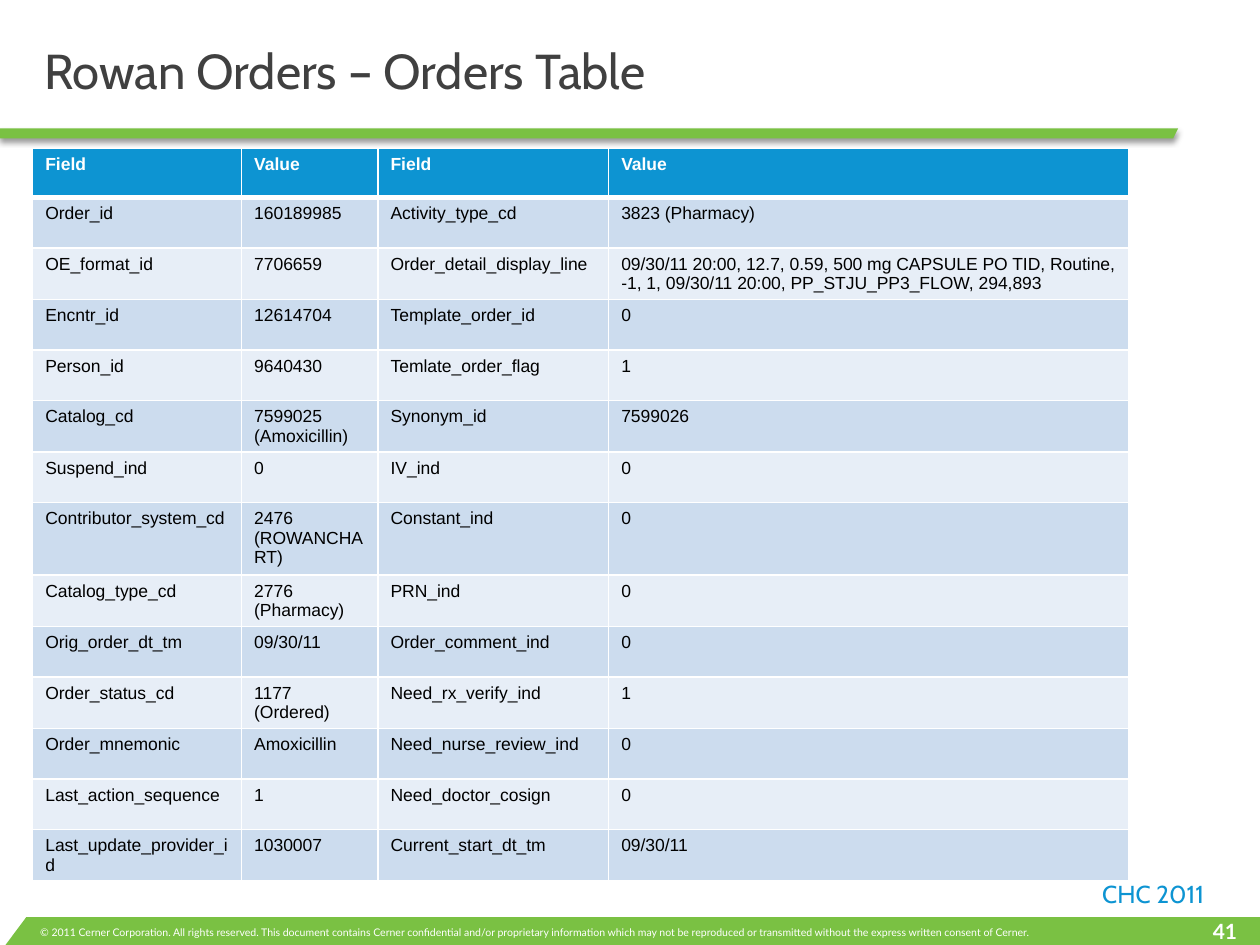
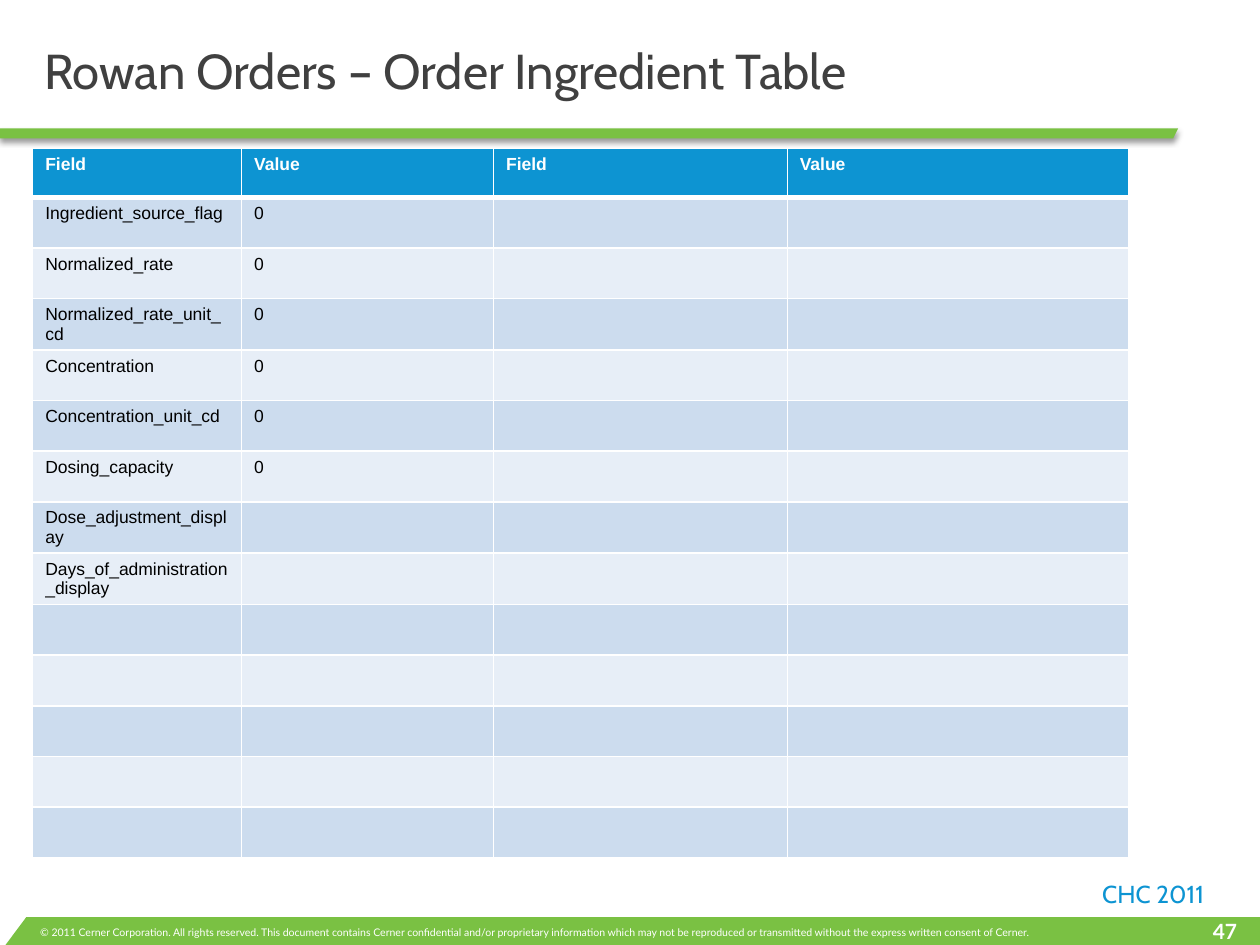
from dataclasses import dataclass

from lxml import etree
from pptx import Presentation
from pptx.dml.color import RGBColor
from pptx.enum.text import MSO_ANCHOR, PP_ALIGN
from pptx.oxml import parse_xml
from pptx.oxml.ns import nsdecls, qn
from pptx.util import Cm, Pt

LEFT, RIGHT = PP_ALIGN.LEFT, PP_ALIGN.RIGHT
TOP, MIDDLE = MSO_ANCHOR.TOP, MSO_ANCHOR.MIDDLE


@dataclass(frozen=True)
class Theme:
    green: str = "7AC143"
    blue: str = "0D94D2"
    title_gray: str = "404040"
    white: str = "FFFFFF"
    black: str = "000000"
    band_dark: str = "CCDCEE"
    band_light: str = "E7EEF7"
    title_font: str = "Cabin"
    footer_font: str = "Lato"
    table_font: str = "Arial"
    title_size: int = 28
    event_size: int = 14
    number_size: int = 12
    table_size: int = 10
    legal_size: int = 6


theme = Theme()


def write(frame, text, font_name, size, color, bold=False, align=LEFT):
    frame.text = text
    para = frame.paragraphs[0]
    para.alignment = align
    for span in para.runs:
        span.font.name = font_name
        span.font.size = Pt(size)
        span.font.bold = bold
        span.font.color.rgb = RGBColor.from_string(color)


def draw_band(page, corners):
    points = [(Cm(x), Cm(y)) for x, y in corners]
    builder = page.shapes.build_freeform(*points[0])
    builder.add_line_segments(points[1:], close=True)
    band = builder.convert_to_shape()
    band.shadow.inherit = False
    band.fill.solid()
    band.fill.fore_color.rgb = RGBColor.from_string(theme.green)
    band.line.fill.background()
    return band


LEGAL = (
    "© 2011 Cerner Corporation. All rights reserved. This document contains Cerner "
    "confidential and/or proprietary information which may not be reproduced or "
    "transmitted without the express written consent of Cerner."
)
FOOTER_BAND = [(25.58, 18.49), (0.53, 18.49), (0, 19.2), (25.58, 19.2)]
TITLE_BAND = [(0, 2.59), (23.75, 2.59), (23.65, 2.79), (0, 2.79)]
HEADER = ("Field", "Value", "Field", "Value")
ROW_COUNT = 14
HEADER_HEIGHT = 0.99
ROW_HEIGHT = 1.02
TABLE_HEIGHT = HEADER_HEIGHT + (ROW_COUNT - 1) * ROW_HEIGHT

order_rows = [
    ("Order_id", "160189985", "Activity_type_cd", "3823 (Pharmacy)"),
    ("OE_format_id", "7706659", "Order_detail_display_line",
     "09/30/11 20:00, 12.7, 0.59, 500 mg CAPSULE PO TID, Routine, -1, 1, "
     "09/30/11 20:00, PP_STJU_PP3_FLOW, 294,893"),
    ("Encntr_id", "12614704", "Template_order_id", "0"),
    ("Person_id", "9640430", "Temlate_order_flag", "1"),
    ("Catalog_cd", "7599025 (Amoxicillin)", "Synonym_id", "7599026"),
    ("Suspend_ind", "0", "IV_ind", "0"),
    ("Contributor_system_cd", "2476 (ROWANCHART)", "Constant_ind", "0"),
    ("Catalog_type_cd", "2776 (Pharmacy)", "PRN_ind", "0"),
    ("Orig_order_dt_tm", "09/30/11", "Order_comment_ind", "0"),
    ("Order_status_cd", "1177 (Ordered)", "Need_rx_verify_ind", "1"),
    ("Order_mnemonic", "Amoxicillin", "Need_nurse_review_ind", "0"),
    ("Last_action_sequence", "1", "Need_doctor_cosign", "0"),
    ("Last_update_provider_id", "1030007", "Current_start_dt_tm", "09/30/11"),
]
ingredient_rows = [
    ("Ingredient_source_flag", "0"),
    ("Normalized_rate", "0"),
    ("Normalized_rate_unit_cd", "0"),
    ("Concentration", "0"),
    ("Concentration_unit_cd", "0"),
    ("Dosing_capacity", "0"),
    ("Dose_adjustment_display",),
    ("Days_of_administration_display",),
]
pages = [
    ("Rowan Orders – Orders Table", "41", (4.21, 2.75, 4.65, 10.49), order_rows),
    ("Rowan Orders – Order Ingredient Table", "47", (4.21, 5.08, 5.92, 6.89),
     ingredient_rows),
]

deck = Presentation()
deck.slide_width = Cm(25.4)
deck.slide_height = Cm(19.05)

for title, number, column_widths, field_rows in pages:
    page = deck.slides.add_slide(deck.slide_layouts[6])
    draw_band(page, FOOTER_BAND)
    title_band = draw_band(page, TITLE_BAND)
    effects = title_band._element.spPr.find(qn("a:effectLst"))
    effects.append(parse_xml(
        f'<a:outerShdw {nsdecls("a")} blurRad="{Pt(3)}" dist="{Pt(2)}" dir="5400000" '
        f'algn="t" rotWithShape="0"><a:srgbClr val="{theme.black}">'
        '<a:alpha val="40000"/></a:srgbClr></a:outerShdw>'
    ))

    texts = [
        ((0.56, 18.54, 24.33, 0.51), TOP, LEGAL, theme.footer_font,
         theme.legal_size, theme.white, False, LEFT),
        ((23.72, 18.39, 1.47, 0.64), TOP, number, theme.footer_font,
         theme.number_size, theme.white, True, RIGHT),
        ((21.97, 17.6, 3.66, 0.86), TOP, "CHC 2011", theme.title_font,
         theme.event_size, theme.blue, False, LEFT),
        ((0.64, 0.56, 23.11, 1.7), MIDDLE, title, theme.title_font,
         theme.title_size, theme.title_gray, False, LEFT),
    ]
    for place, anchor, *content in texts:
        box = page.shapes.add_textbox(*map(Cm, place))
        box.text_frame.word_wrap = True
        box.text_frame.vertical_anchor = anchor
        write(box.text_frame, *content)

    frame = page.shapes.add_table(
        ROW_COUNT, len(HEADER), Cm(0.66), Cm(2.99), Cm(sum(column_widths)),
        Cm(TABLE_HEIGHT)
    )
    table = frame.table
    for column, width in zip(table.columns, column_widths):
        column.width = Cm(width)
    for index, row in enumerate(table.rows):
        row.height = Cm(ROW_HEIGHT if index else HEADER_HEIGHT)

    table_rows = [HEADER] + field_rows
    for row_index in range(ROW_COUNT):
        values = table_rows[row_index] if row_index < len(table_rows) else ()
        is_header = row_index == 0
        band_color = theme.band_dark if row_index % 2 else theme.band_light
        border_widths = {
            "lnL": 1,
            "lnR": 1,
            "lnT": 3 if row_index == 1 else 1,
            "lnB": 3 if is_header else 1,
        }
        for column_index in range(len(HEADER)):
            cell = table.cell(row_index, column_index)
            cell.margin_bottom = Cm(0.06)
            cell.fill.solid()
            cell.fill.fore_color.rgb = RGBColor.from_string(
                theme.blue if is_header else band_color
            )
            if column_index < len(values):
                write(cell.text_frame, values[column_index], theme.table_font,
                      theme.table_size, theme.white if is_header else theme.black,
                      is_header)
            properties = cell._tc.get_or_add_tcPr()
            for position, (side, width) in enumerate(border_widths.items()):
                border = etree.Element(qn(f"a:{side}"), w=str(Pt(width)))
                fill = etree.SubElement(border, qn("a:solidFill"))
                etree.SubElement(fill, qn("a:srgbClr"), val=theme.white)
                properties.insert(position, border)

deck.save("out.pptx")
